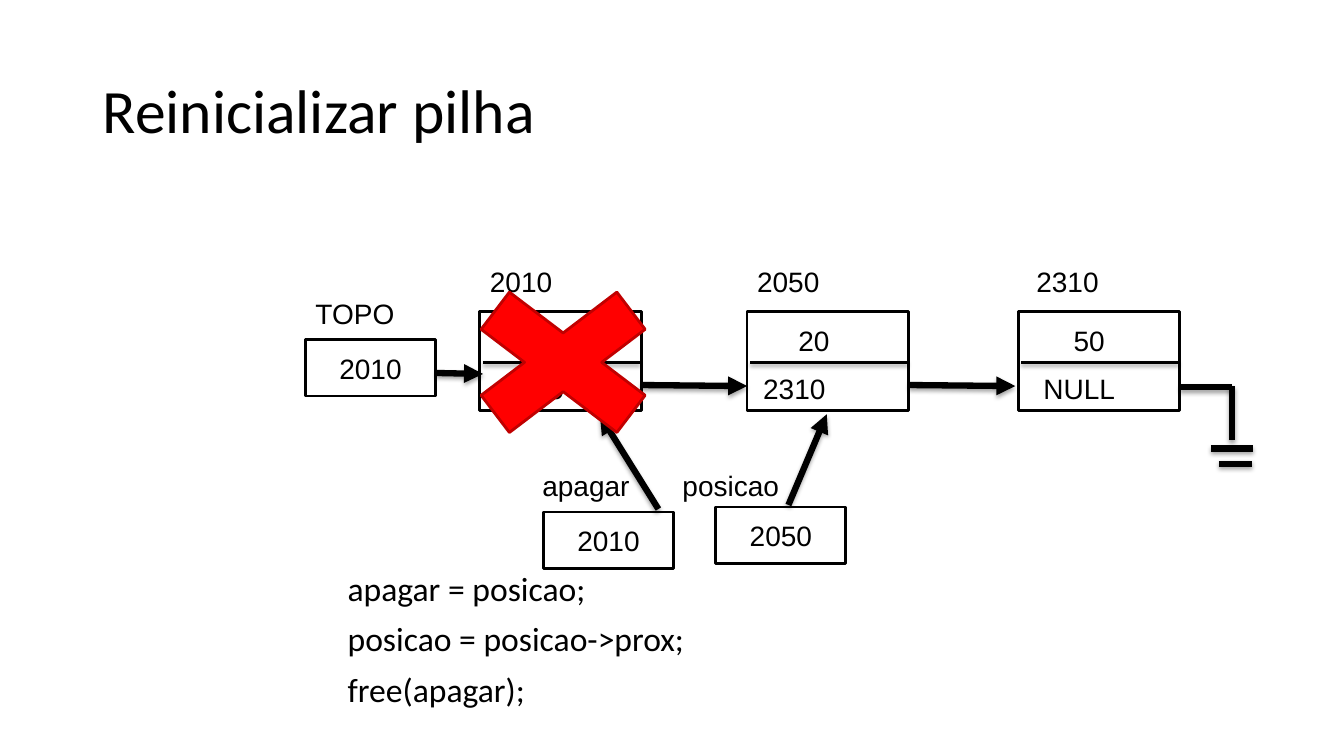
from lxml import etree
from pptx import Presentation
from pptx.dml.color import RGBColor
from pptx.enum import shapes, text
from pptx.oxml.ns import qn
from pptx.util import Inches, Pt

COLORS = {"ink": "000000", "paper": "FFFFFF", "cross": "FF0000", "cross_edge": "C00000"}

TITLE = "Reinicializar pilha"
CODE = ["apagar = posicao;", "posicao = posicao->prox;", "free(apagar);"]

# Stack nodes: left edge, then (text, left) for address, value and next pointer
NODES = [
    (4.76, ("2010", 4.76), None, ("2050", 4.88)),
    (7.41, ("2050", 7.41), ("20", 7.82), ("2310", 7.47)),
    (10.1, ("2310", 10.18), ("50", 10.55), ("NULL", 10.25)),
]
NODE_TOP, NODE_WIDTH, NODE_HEIGHT = 3.09, 1.6, 0.98
DIVIDER_Y = 3.6
ADDRESS_TOP, VALUE_TOP, NEXT_TOP = 2.57, 3.16, 3.64

# Pointer variables: name, name position, value, box position
POINTERS = [
    ("TOPO", (3.03, 2.89), "2010", (3.03, 3.37)),
    ("posicao", (6.67, 4.6), "2050", (7.1, 5.03)),
    ("apagar", (5.28, 4.6), "2010", (5.39, 5.08)),
]
ARROWS = [
    ((4.32, 3.7), (4.79, 3.71)),
    ((6.36, 3.82), (7.41, 3.83)),
    ((9.02, 3.82), (10.07, 3.83)),
    ((7.82, 5.01), (8.2, 4.11)),
    ((6.53, 5.05), (5.95, 4.12)),
]
GROUND = [
    ((11.7, 3.84), (12.22, 3.84)),
    ((12.22, 3.83), (12.22, 4.37)),
    ((12.01, 4.45), (12.43, 4.45)),
    ((12.09, 4.6), (12.42, 4.6)),
]

presentation = Presentation()
presentation.slide_width, presentation.slide_height = Inches(13.33), Inches(7.5)
slide = presentation.slides.add_slide(presentation.slide_layouts[6])


def color(name):
    return RGBColor.from_string(COLORS[name])


def add_run(paragraph, words, size, font):
    run = paragraph.add_run()
    run.text = words
    run.font.size, run.font.name = Pt(size), font
    run.font.color.rgb = color("ink")


def add_text(lines, left, top, width, height, size=20, font="Arial",
             anchor=text.MSO_ANCHOR.TOP, line_spacing=1.0):
    frame = slide.shapes.add_textbox(*map(Inches, (left, top, width, height))).text_frame
    frame.word_wrap, frame.vertical_anchor = True, anchor
    for index, line in enumerate(lines):
        paragraph = frame.add_paragraph() if index else frame.paragraphs[0]
        paragraph.line_spacing = line_spacing
        if index:
            paragraph.space_before = Pt(10)
        add_run(paragraph, line, size, font)


def add_shape(preset, left, top, width, height, fill="paper", edge="ink"):
    shape = slide.shapes.add_shape(preset, *map(Inches, (left, top, width, height)))
    shape.shadow.inherit = False
    shape.fill.solid()
    shape.fill.fore_color.rgb = color(fill)
    shape.line.color.rgb = color(edge)
    shape.line.width = Pt(2)
    return shape


def add_line(start, end, width=4.5, arrow=False, distance=1.8, opacity=35):
    line = slide.shapes.add_connector(
        shapes.MSO_CONNECTOR.STRAIGHT, *map(Inches, start + end))
    line.line.color.rgb = color("ink")
    line.line.width = Pt(width)
    if arrow:
        etree.SubElement(line.line._get_or_add_ln(), qn("a:tailEnd"), type="triangle")
    # Soft shadow falling straight down
    effects = etree.SubElement(line._element.spPr, qn("a:effectLst"))
    shadow = etree.SubElement(
        effects, qn("a:outerShdw"), blurRad=str(Pt(3.1)), dist=str(Pt(distance)),
        dir="5400000", rotWithShape="0")
    tint = etree.SubElement(shadow, qn("a:srgbClr"), val=COLORS["ink"])
    etree.SubElement(tint, qn("a:alpha"), val=str(opacity * 1000))


# Title
add_text([TITLE], 0.92, 0.4, 11.5, 1.45, 44, "Calibri", text.MSO_ANCHOR.MIDDLE, 0.9)

# Stack nodes
for left, address, value, following in NODES:
    add_shape(shapes.MSO_SHAPE.RECTANGLE, left, NODE_TOP, NODE_WIDTH, NODE_HEIGHT)
    add_line((left + 0.03, DIVIDER_Y), (left + NODE_WIDTH - 0.01, DIVIDER_Y),
             width=2, distance=1.6, opacity=38)
    for label, top in ((address, ADDRESS_TOP), (value, VALUE_TOP), (following, NEXT_TOP)):
        if label:
            add_text([label[0]], label[1], top, 1.09, 0.44)

# Pointer variables
for name, name_position, value, box_position in POINTERS:
    box = add_shape(shapes.MSO_SHAPE.RECTANGLE, *box_position, 1.29, 0.56)
    box.text_frame.vertical_anchor = text.MSO_ANCHOR.MIDDLE
    paragraph = box.text_frame.paragraphs[0]
    paragraph.alignment = text.PP_ALIGN.CENTER
    add_run(paragraph, value, 20, "Arial")
    add_text([name], *name_position, 1.28, 0.44)

# Links and the ground symbol after the last node
for start, end in ARROWS:
    add_line(start, end, arrow=True)
for start, end in GROUND:
    add_line(start, end)

# Code
add_text(CODE, 3.35, 5.63, 4.47, 1.47, 24, "Calibri", line_spacing=0.9)

# Cross over the deleted node
add_shape(shapes.MSO_SHAPE.MATH_MULTIPLY, 4.29, 2.61, 2.59, 1.97, "cross", "cross_edge")

presentation.save("out.pptx")
